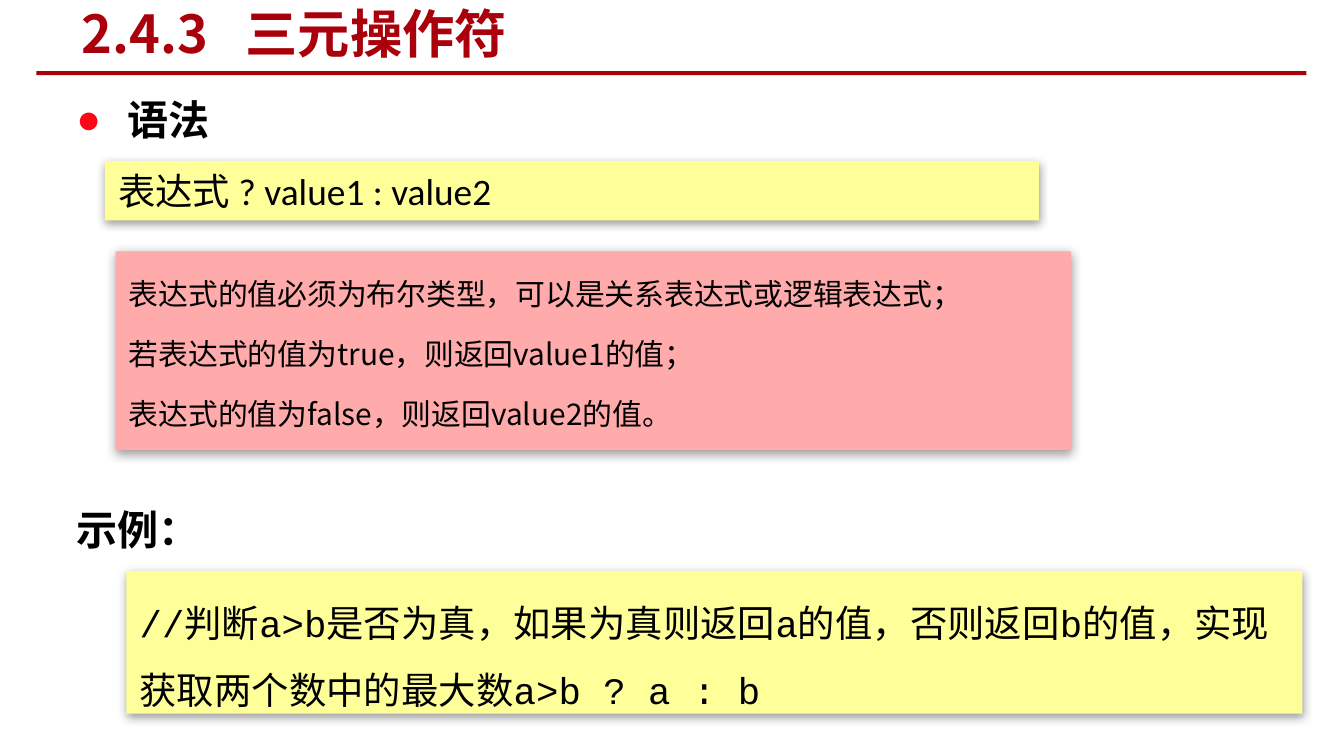
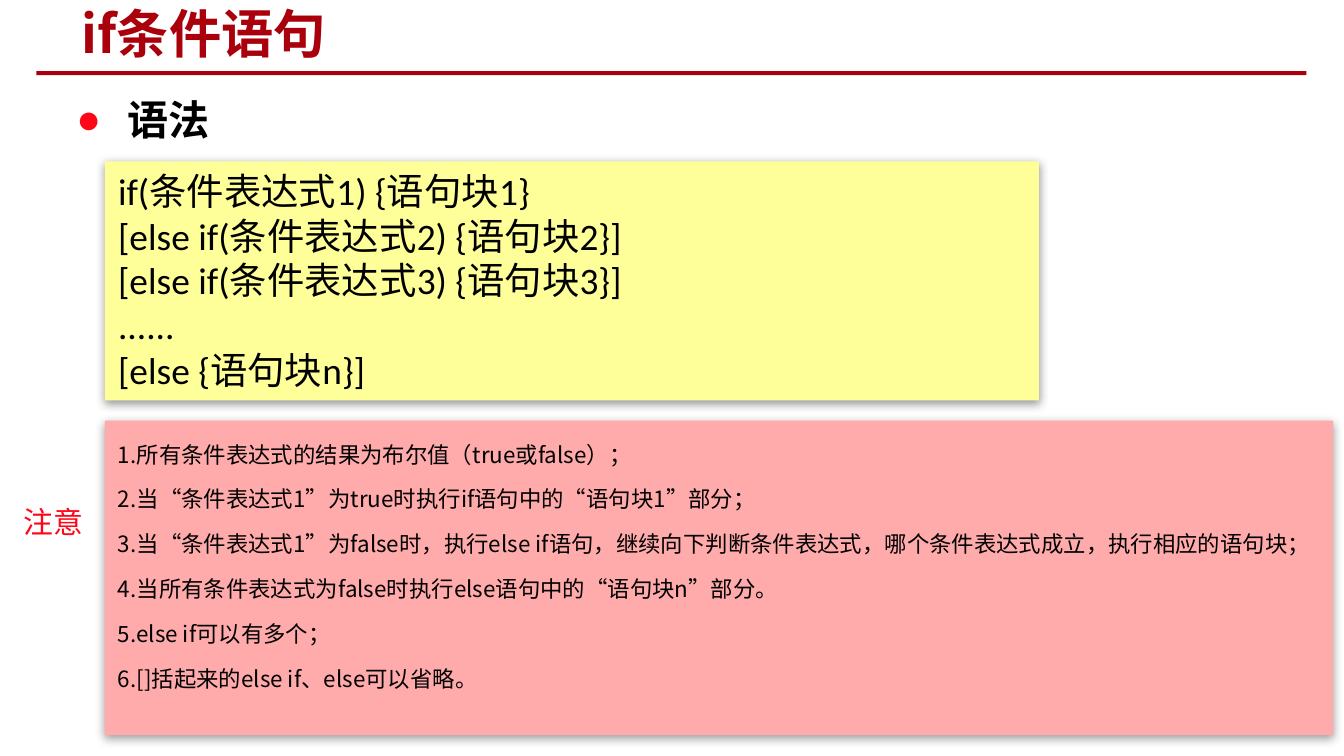
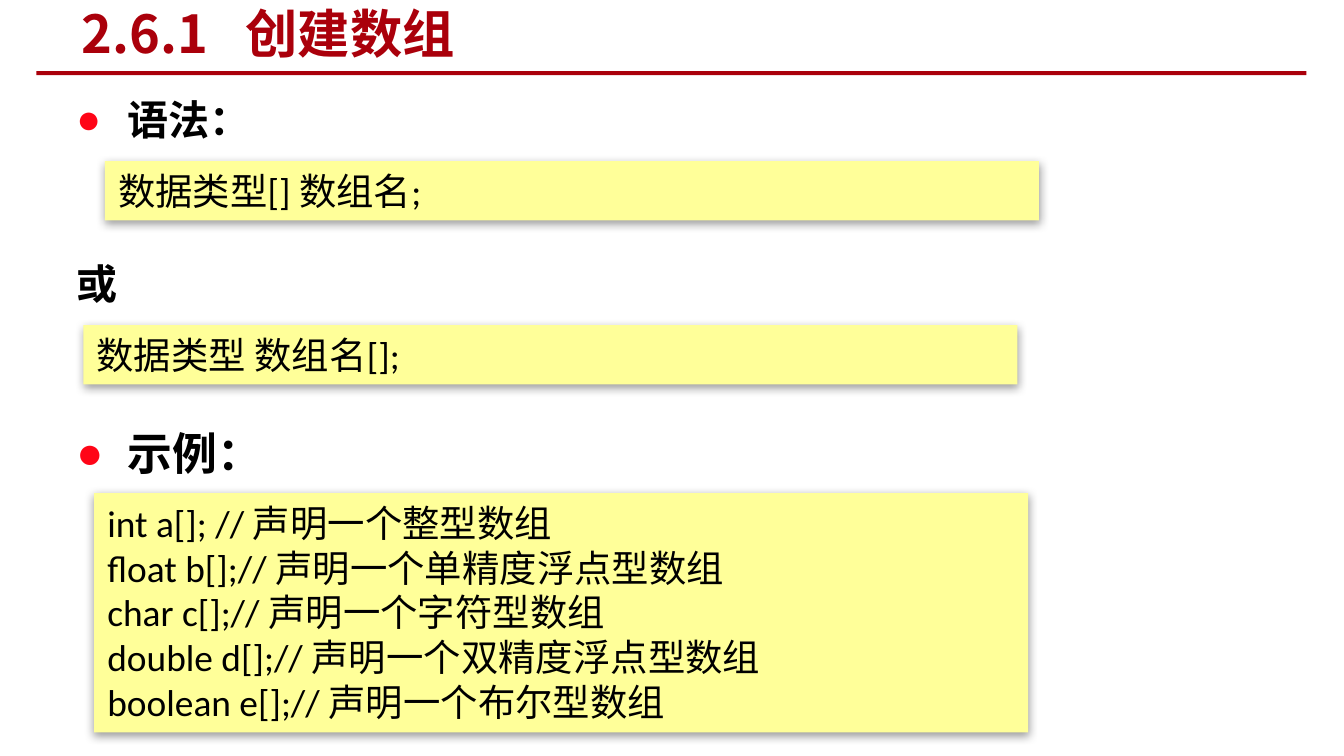
"""Build three lecture slides on operators, conditions and arrays."""
from lxml import etree
from pptx import Presentation
from pptx.dml.color import RGBColor
from pptx.enum import shapes, text
from pptx.oxml import ns
from pptx.util import Inches, Pt

CRIMSON = RGBColor(0xAA, 0x00, 0x0B)
RED = RGBColor(0xFF, 0x05, 0x17)
YELLOW = RGBColor(0xFF, 0xFF, 0x99)
PINK = RGBColor(0xFF, 0xAA, 0xAB)
BLACK = RGBColor(0, 0, 0)
SANS = "Noto Sans CJK SC"
CODE = "Calibri"
HEADING = dict(size=22, font="Arial", bold=True, spacing=1.5)
BULLETED = dict(HEADING, bullet=True)
SYNTAX = dict(fill=YELLOW, size=20, font=CODE)
NOTE = dict(fill=PINK, spacing=1.5, gap=0.2)

SLIDES = [
    ("2.4.3\t三元操作符", [
        ((0.47, 0.47, 9.22, 0.6), ["语法"], BULLETED),
        ((0.47, 3.52, 9.22, 0.6), ["示例："], HEADING),
        ((0.86, 1.87, 7.11, 1.48), [
            "表达式的值必须为布尔类型，可以是关系表达式或逻辑表达式；",
            "若表达式的值为true，则返回value1的值；",
            "表达式的值为false，则返回value2的值。",
        ], dict(NOTE, size=16)),
        ((0.94, 4.25, 8.75, 1.06), [
            "//判断a>b是否为真，如果为真则返回a的值，否则返回b的值，实现获取两个数中的最大数a>b ? a : b",
        ], dict(SYNTAX, font="Courier New", spacing=1.5)),
        ((0.78, 1.2, 6.95, 0.44), ["表达式 ? value1 : value2"], SYNTAX),
    ]),
    ("if条件语句", [
        ((0.47, 0.47, 9.22, 0.6), ["语法"], BULLETED),
        ((0.78, 3.13, 9.14, 2.34), [
            "1.所有条件表达式的结果为布尔值（true或false）；",
            "2.当“条件表达式1”为true时执行if语句中的“语句块1”部分；",
            "3.当“条件表达式1”为false时，执行else if语句，继续向下判断条件表达式，哪个条件表达式成立，执行相应的语句块；",
            "4.当所有条件表达式为false时执行else语句中的“语句块n”部分。",
            "5.else if可以有多个；",
            "6.[]括起来的else if、else可以省略。",
        ], dict(NOTE, size=12)),
        ((0.78, 1.2, 6.95, 1.78), [
            "if(条件表达式1) {语句块1}",
            "[else if(条件表达式2) {语句块2}]",
            "[else if(条件表达式3) {语句块3}]",
            "......",
            "[else {语句块n}]",
        ], SYNTAX),
        ((0.08, 3.7, 0.65, 0.37), ["注意"], dict(size=16, color=RED, wrap=False)),
    ]),
    ("2.6.1\t创建数组", [
        ((0.47, 0.47, 9.22, 0.6), ["语法："], BULLETED),
        ((0.47, 1.69, 9.22, 0.6), ["或"], HEADING),
        ((0.47, 2.92, 9.22, 0.65), ["示例："], dict(BULLETED, size=24)),
        ((0.78, 1.2, 6.95, 0.44), ["数据类型[] 数组名;"], SYNTAX),
        ((0.62, 2.42, 6.95, 0.44), ["数据类型 数组名[];"], SYNTAX),
        ((0.7, 3.67, 6.95, 1.78), [
            "int a[]; // 声明一个整型数组",
            "float b[];// 声明一个单精度浮点型数组",
            "char c[];// 声明一个字符型数组",
            "double d[];// 声明一个双精度浮点型数组",
            "boolean e[];// 声明一个布尔型数组",
        ], SYNTAX),
    ]),
]


def add_element(parent, tag, **attributes):
    return etree.SubElement(parent, ns.qn(tag), attributes)


def add_bullet(para):
    properties = para._p.get_or_add_pPr()
    properties.set("marL", str(Inches(0.38)))
    properties.set("indent", str(-Inches(0.38)))
    add_element(add_element(properties, "a:buClr"), "a:srgbClr", val=str(RED))
    add_element(properties, "a:buFont", typeface="Arial")
    add_element(properties, "a:buChar", char="●")


def add_tab_stop(para, position):
    stops = add_element(para._p.get_or_add_pPr(), "a:tabLst")
    add_element(stops, "a:tab", pos=str(Inches(position)), algn="l")


def add_shadow(shape):
    effects = add_element(shape._element.spPr, "a:effectLst")
    shadow = add_element(effects, "a:outerShdw", blurRad=str(Pt(5)), dist=str(Pt(1.6)),
                         dir="5400000", algn="t", rotWithShape="0")
    shade = add_element(shadow, "a:srgbClr", val=str(BLACK))
    add_element(shade, "a:alpha", val="38000")


def add_rectangle(page, area, fill):
    shape = page.shapes.add_shape(shapes.MSO_SHAPE.RECTANGLE, *map(Inches, area))
    shape.fill.solid()
    shape.fill.fore_color.rgb = fill
    shape.line.fill.background()
    return shape


def add_text(page, area, lines, size, font=SANS, color=BLACK, bold=False, fill=None,
             spacing=1, gap=0, bullet=False, tab=None, wrap=True,
             anchor=text.MSO_ANCHOR.TOP):
    if fill is None:
        box = page.shapes.add_textbox(*map(Inches, area))
    else:
        box = add_rectangle(page, area, fill)
        add_shadow(box)
    frame = box.text_frame
    frame.word_wrap = wrap
    frame.vertical_anchor = anchor
    for index, line in enumerate(lines):
        para = frame.paragraphs[0] if index == 0 else frame.add_paragraph()
        para.alignment = text.PP_ALIGN.LEFT
        para.line_spacing = float(spacing)
        if index and gap:
            para.space_before = Pt(size * gap)
        if bullet:
            add_bullet(para)
        if tab:
            add_tab_stop(para, tab)
        span = para.add_run()
        span.text = line
        span.font.size = Pt(size)
        span.font.bold = bold
        span.font.color.rgb = color
        span.font.name = font
        add_element(span._r.get_or_add_rPr(), "a:ea",
                    typeface=SANS if font == SANS else CODE)


def main():
    deck = Presentation()
    deck.slide_width = Inches(10)
    deck.slide_height = deck.slide_width * 9 // 16
    for title, blocks in SLIDES:
        page = deck.slides.add_slide(deck.slide_layouts[6])
        rule = add_rectangle(page, (0.27, 0.53, 9.45, 0.03), CRIMSON)
        rule.shadow.inherit = False
        add_text(page, (0.51, 0.02, 5.3, 0.45), [title], size=28, color=CRIMSON, bold=True,
                 tab=1.22 if "\t" in title else None, anchor=text.MSO_ANCHOR.MIDDLE)
        for area, lines, style in blocks:
            add_text(page, area, lines, **style)
    deck.save("out.pptx")


if __name__ == "__main__":
    main()
